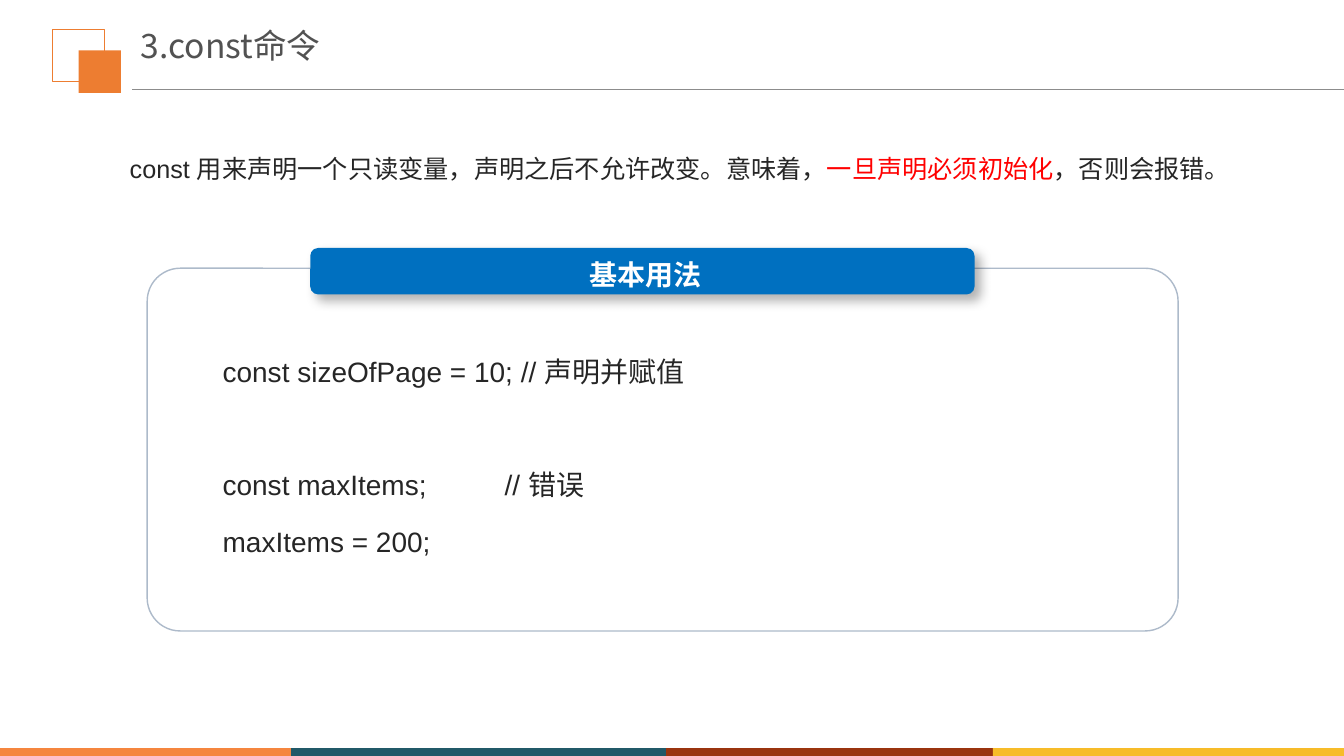
from dataclasses import dataclass

from lxml import etree
from pptx import Presentation
from pptx.dml.color import RGBColor
from pptx.enum import shapes, text
from pptx.oxml import ns
from pptx.util import Cm, Pt


@dataclass(frozen=True)
class Theme:
    accent: str = "ED7D31"
    rule: str = "8C8C8C"
    title: str = "525252"
    body: str = "262626"
    alert: str = "FF0000"
    banner: str = "0070C0"
    on_banner: str = "FFFFFF"
    frame: str = "ADBACA"
    bands: tuple = ("F5863F", "215968", "9A340F", "F7BC29")
    title_font: str = "Noto Sans CJK SC"
    body_font: str = "Arial"
    title_size: int = 24
    code_size: int = 20
    body_size: int = 18


THEME = Theme()
PAGE_WIDTH, PAGE_HEIGHT = 33.87, 19.05


@dataclass(frozen=True)
class Box:
    left: float
    top: float
    width: float
    height: float

    def inner(self, left, top, width, height):
        """Box placed relative to this one's top left corner."""
        return Box(self.left + left, self.top + top, width, height)

    def lengths(self):
        return Cm(self.left), Cm(self.top), Cm(self.width), Cm(self.height)


def add_block(page, box, fill=None, line=None, line_width=0.75, corner=None):
    kind = shapes.MSO_SHAPE.RECTANGLE if corner is None else shapes.MSO_SHAPE.ROUNDED_RECTANGLE
    block = page.shapes.add_shape(kind, *box.lengths())
    block.shadow.inherit = False
    if corner is not None:
        block.adjustments[0] = corner
    if fill:
        block.fill.solid()
        block.fill.fore_color.rgb = RGBColor.from_string(fill)
    else:
        block.fill.background()
    if line:
        block.line.color.rgb = RGBColor.from_string(line)
        block.line.width = Pt(line_width)
    else:
        block.line.fill.background()
    return block


def add_text_frame(page, box):
    frame = page.shapes.add_textbox(*box.lengths()).text_frame
    frame.word_wrap = True
    return frame


def style(span, size, color, font=THEME.body_font, bold=False):
    """Format a run, using one font for Latin and East Asian characters."""
    span.font.name = font
    span.font.size = Pt(size)
    span.font.bold = bold
    span.font.color.rgb = RGBColor.from_string(color)
    latin = span.font._element.find(ns.qn("a:latin"))
    east_asian = etree.Element(ns.qn("a:ea"), typeface=font)
    latin.addnext(east_asian)


def add_drop_shadow(block):
    effects = block._element.spPr.find(ns.qn("a:effectLst"))
    shadow = etree.SubElement(
        effects, ns.qn("a:outerShdw"), blurRad=str(Pt(8)), dist=str(Pt(6)),
        dir=str(45 * 60000), algn="tl", rotWithShape="0")
    color = etree.SubElement(shadow, ns.qn("a:srgbClr"), val="000000")
    etree.SubElement(color, ns.qn("a:alpha"), val="30000")


def add_tab_stop(para, position):
    tabs = etree.SubElement(para._p.get_or_add_pPr(), ns.qn("a:tabLst"))
    etree.SubElement(tabs, ns.qn("a:tab"), pos=str(Cm(position)), algn="l")


def draw_header(page, box, title):
    add_block(page, box.inner(0, 0, 1.32, 1.32), line=THEME.accent)
    add_block(page, box.inner(0.66, 0.53, 1.07, 1.07), fill=THEME.accent)
    rule_y = Cm(box.top + 1.52)
    rule = page.shapes.add_connector(
        shapes.MSO_CONNECTOR.STRAIGHT, Cm(box.left + 2.01), rule_y,
        Cm(box.left + box.width), rule_y)
    rule.line.color.rgb = RGBColor.from_string(THEME.rule)
    rule.line.width = Pt(0.75)
    etree.SubElement(rule._element.spPr, ns.qn("a:effectLst"))

    frame = add_text_frame(page, box.inner(1.98, 0, 13.44, 1.47))
    frame.margin_top = 0
    frame.text = title
    para = frame.paragraphs[0]
    para.line_spacing = 0.9
    style(para.runs[0], THEME.title_size, THEME.title, THEME.title_font)


def draw_footer(page, box):
    extents = ((0, 11.99), (7.34, 10.29), (16.79, 13.89), (25.02, 8.85))
    for (left, width), color in zip(extents, THEME.bands):
        add_block(page, box.inner(left, 0, width, box.height), fill=color)


def draw_statement(page, box, parts):
    para = add_text_frame(page, box).paragraphs[0]
    para.line_spacing = 1.5
    for words, color in parts:
        span = para.add_run()
        span.text = words
        style(span, THEME.body_size, color)


def draw_code_panel(page, box, heading, code):
    """Framed code lines, each given with its space before, under a banner."""
    add_block(page, box, line=THEME.frame, line_width=1, corner=0.091)

    frame = add_text_frame(page, box.inner(1.65, 1.62, 23.22, 5.89))
    frame.text = "\n".join(line for line, _ in code)
    for para, (line, gap) in zip(frame.paragraphs, code):
        para.line_spacing = 1.7 if para is not frame.paragraphs[0] and gap is not None else 1.5
        if gap:
            para.space_before = Pt(gap)
        if "\t" in line:
            add_tab_stop(para, 7.11)
        for span in para.runs:
            style(span, THEME.code_size, THEME.body)

    banner = add_block(page, box.inner(4.11, -0.51, 16.74, 1.17),
                       fill=THEME.banner, corner=0.17)
    add_drop_shadow(banner)
    frame = add_text_frame(page, box.inner(4.55, -0.4, 16.03, 1.12))
    frame.vertical_anchor = text.MSO_ANCHOR.MIDDLE
    frame.text = heading
    para = frame.paragraphs[0]
    para.alignment = text.PP_ALIGN.CENTER
    style(para.runs[0], THEME.code_size, THEME.on_banner, bold=True)


def main():
    deck = Presentation()
    deck.slide_width, deck.slide_height = Cm(PAGE_WIDTH), Cm(PAGE_HEIGHT)
    page = deck.slides.add_slide(deck.slide_layouts[6])
    draw_header(page, Box(1.32, 0.74, PAGE_WIDTH - 1.32, 1.6), "3.const命令")
    draw_footer(page, Box(0, PAGE_HEIGHT - 0.2, PAGE_WIDTH, 0.2))
    draw_code_panel(page, Box(3.71, 6.76, 25.98, 9.14), "基本用法", (
        ("const sizeOfPage = 10; // 声明并赋值", None),
        ("const maxItems;\t// 错误", 40),
        ("maxItems = 200;", 0),
    ))
    draw_statement(page, Box(3.02, 3.35, 28.65, 1.42), (
        ("const 用来声明一个只读变量，声明之后不允许改变。意味着，", THEME.body),
        ("一旦声明必须初始化", THEME.alert),
        ("，否则会报错。", THEME.body),
    ))
    deck.save("out.pptx")


if __name__ == "__main__":
    main()
